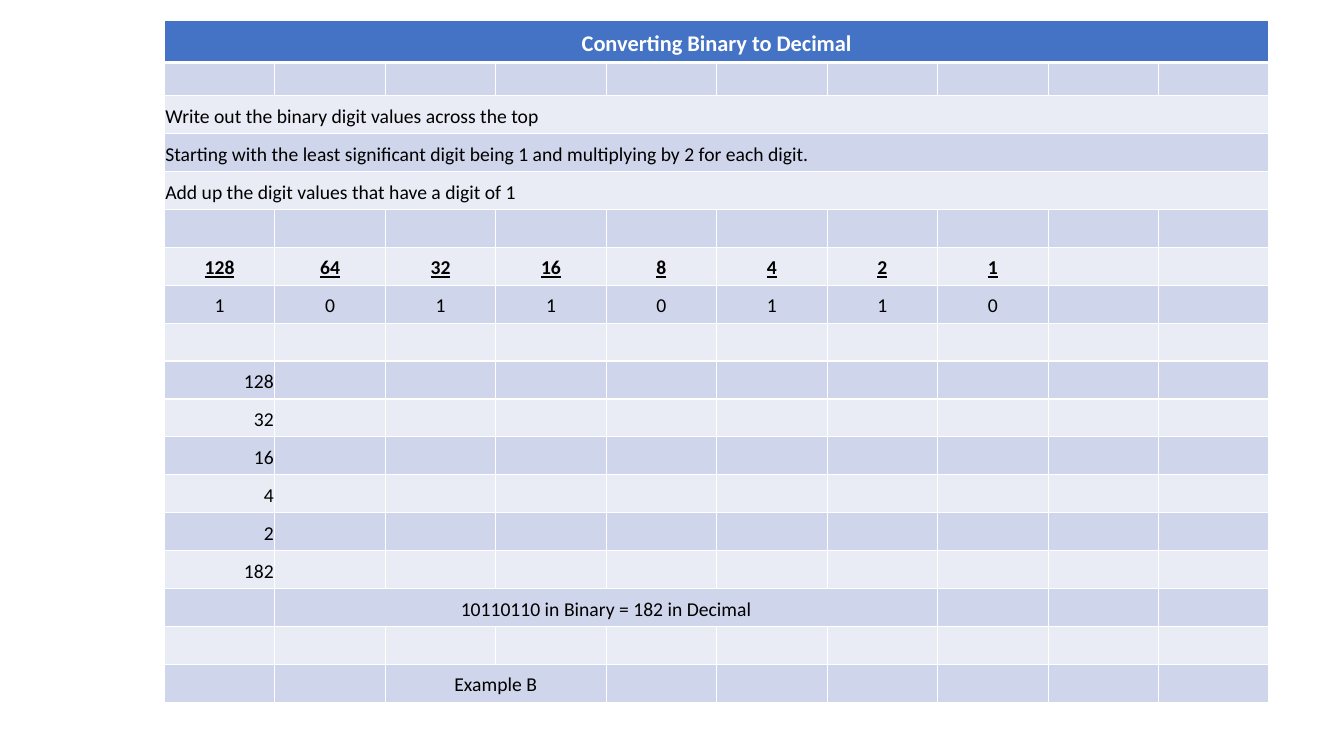
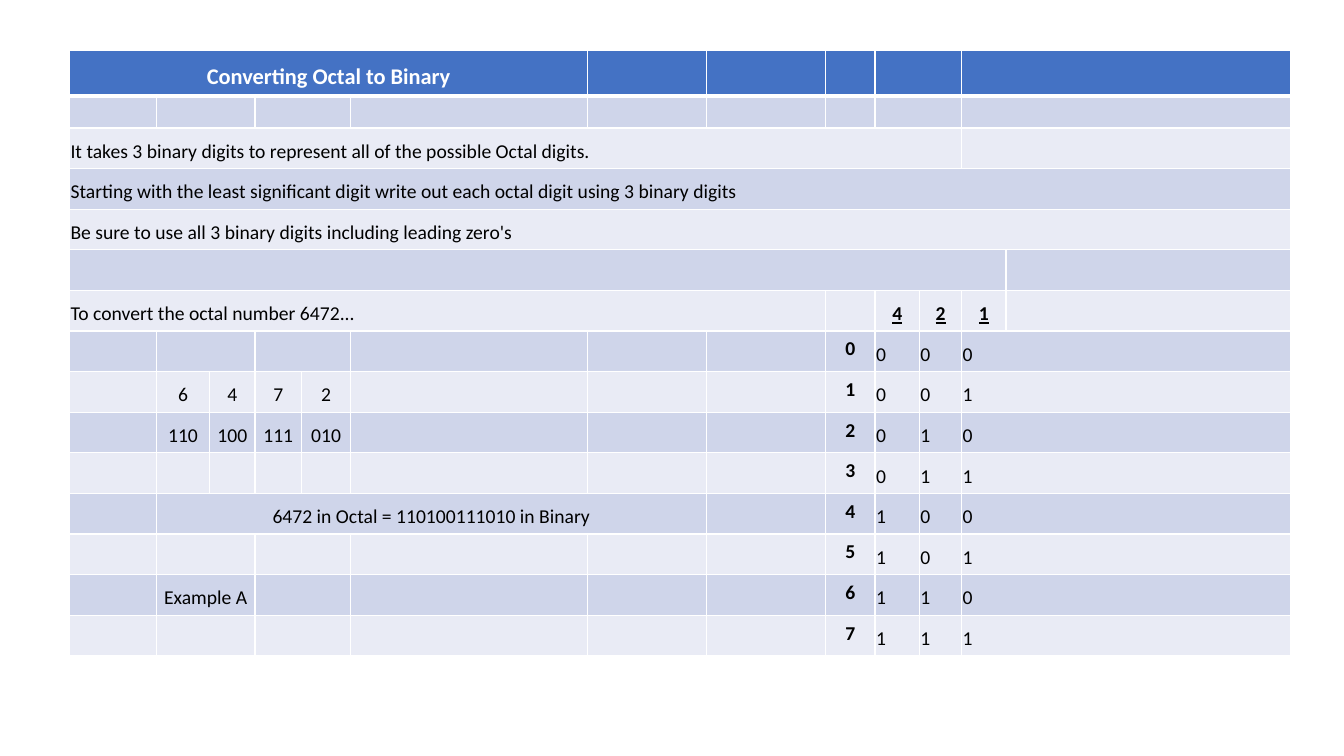
from lxml.etree import SubElement
from pptx import Presentation
from pptx.dml.color import RGBColor
from pptx.enum.text import MSO_ANCHOR, PP_ALIGN
from pptx.oxml.ns import qn
from pptx.util import Inches, Pt

WHITE = RGBColor(0xFF, 0xFF, 0xFF)
BLACK = RGBColor(0x00, 0x00, 0x00)
HEADER = RGBColor(0x44, 0x72, 0xC4)
DARK_BAND = RGBColor(0xCF, 0xD5, 0xEA)
LIGHT_BAND = RGBColor(0xE9, 0xEB, 0xF5)
FONT = "Calibri"
LEFT, CENTER, RIGHT = PP_ALIGN.LEFT, PP_ALIGN.CENTER, PP_ALIGN.RIGHT

deck = Presentation()
deck.slide_width = Inches(13.33)
deck.slide_height = Inches(7.5)


def add_banded_table(left, top, widths, heights, merges):
    page = deck.slides.add_slide(deck.slide_layouts[6])
    table = page.shapes.add_table(
        len(heights), len(widths), Inches(left), Inches(top),
        Inches(sum(widths)), Inches(sum(heights))).table
    for column, width in zip(table.columns, widths):
        column.width = Inches(width)
    for row_index, (row, height) in enumerate(zip(table.rows, heights)):
        row.height = Inches(height)
        band = DARK_BAND if row_index % 2 else LIGHT_BAND
        for cell in row.cells:
            cell.margin_left = cell.margin_right = cell.margin_top = Inches(0.01)
            cell.margin_bottom = Inches(0.05)
            cell.vertical_anchor = MSO_ANCHOR.BOTTOM
            properties = cell._tc.get_or_add_tcPr()
            for side in ("L", "R", "T", "B"):
                thick = (side == "B" and row_index == 0) or (side == "T" and row_index == 1)
                border = SubElement(properties, qn(f"a:ln{side}"), w=str(Pt(3 if thick else 1)))
                SubElement(SubElement(border, qn("a:solidFill")), qn("a:srgbClr"), val=str(WHITE))
            cell.fill.solid()
            cell.fill.fore_color.rgb = band if row_index else HEADER
            SubElement(cell.text_frame.paragraphs[0]._p, qn("a:endParaRPr"), sz="1400")
    for row_index, spans in merges.items():
        for first, count in spans:
            table.cell(row_index, first).merge(table.cell(row_index, first + count - 1))
    return table


def write(table, row, column, text, align=LEFT, bold=False, underline=False,
          size=14, color=BLACK):
    cell = table.cell(row, column)
    para = cell.text_frame.paragraphs[0]
    para.text = text
    para.alignment = align
    font = para.runs[0].font
    font.name = FONT
    font.size = Pt(size)
    font.bold = bold
    font.underline = underline
    font.color.rgb = color
    return cell


binary_merges = {row: [(0, 10)] for row in (0, 2, 3, 4)}
binary_merges.update({15: [(1, 6)], 17: [(2, 2)]})
binary = add_banded_table(1.63, 0.2, [10.96 / 10] * 10,
                          [0.42, 0.33] + [6.02 / 16] * 16, binary_merges)
write(binary, 0, 0, "Converting Binary to Decimal", CENTER, bold=True, size=16, color=WHITE)
binary_steps = [
    "Write out the binary digit values across the top",
    "Starting with the least significant digit being 1 and multiplying by 2 for each digit.",
    "Add up the digit values that have a digit of 1",
]
for row, step in enumerate(binary_steps, start=2):
    write(binary, row, 0, step)
addends = []
for column, digit in enumerate("10110110"):
    place = 2 ** (7 - column)
    write(binary, 6, column, str(place), CENTER, bold=True, underline=True)
    write(binary, 7, column, digit, CENTER)
    if digit == "1":
        addends.append(place)
for row, value in enumerate(addends + [sum(addends)], start=9):
    write(binary, row, 0, str(value), RIGHT)
write(binary, 15, 1, "10110110 in Binary = 182 in Decimal", CENTER)
write(binary, 17, 2, "Example B", CENTER)

octal_merges = {row: [(11, 2)] for row in range(7, 15)}
for row in (7, 12, 13, 14):
    octal_merges[row] += [(1, 2), (3, 2)]
octal_merges[11] += [(1, 6)]
octal_merges.update({
    0: [(0, 6), (9, 2), (11, 2)],
    1: [(1, 2), (3, 2), (9, 2), (11, 2)],
    2: [(0, 11), (11, 2)],
    3: [(0, 13)],
    4: [(0, 13)],
    5: [(0, 12)],
    6: [(0, 8)],
})
octal_widths = [0.86, 0.53, 0.45, 0.46, 0.49, 2.35, 1.18, 1.18, 0.49, 0.44, 0.42, 0.44, 2.82]
octal = add_banded_table(0.69, 0.5, octal_widths,
                         [0.45, 0.32] + [5.24 / 13] * 13, octal_merges)
write(octal, 0, 0, "Converting Octal to Binary", CENTER, bold=True, size=16, color=WHITE)
octal_steps = {
    2: "It takes 3 binary digits to represent all of the possible Octal digits.",
    3: "Starting with the least significant digit write out each octal digit using 3 binary digits",
    4: "Be sure to use all 3 binary digits including leading zero's",
    6: "To convert the octal number 6472...",
}
for row, step in octal_steps.items():
    write(octal, row, 0, step)
for column, place in enumerate("421", start=9):
    write(octal, 6, column, place, CENTER, bold=True, underline=True)
for number in range(8):
    label = write(octal, 7 + number, 8, str(number), CENTER, bold=True)
    label.vertical_anchor = MSO_ANCHOR.MIDDLE
    for column, bit in enumerate(f"{number:03b}", start=9):
        write(octal, 7 + number, column, bit)
for column, digit in enumerate("6472", start=1):
    write(octal, 8, column, digit, CENTER)
    write(octal, 9, column, f"{int(digit):03b}", CENTER)
write(octal, 11, 1, "6472 in Octal = 110100111010 in Binary", CENTER)
write(octal, 13, 1, "Example A", CENTER)

deck.save("out.pptx")
